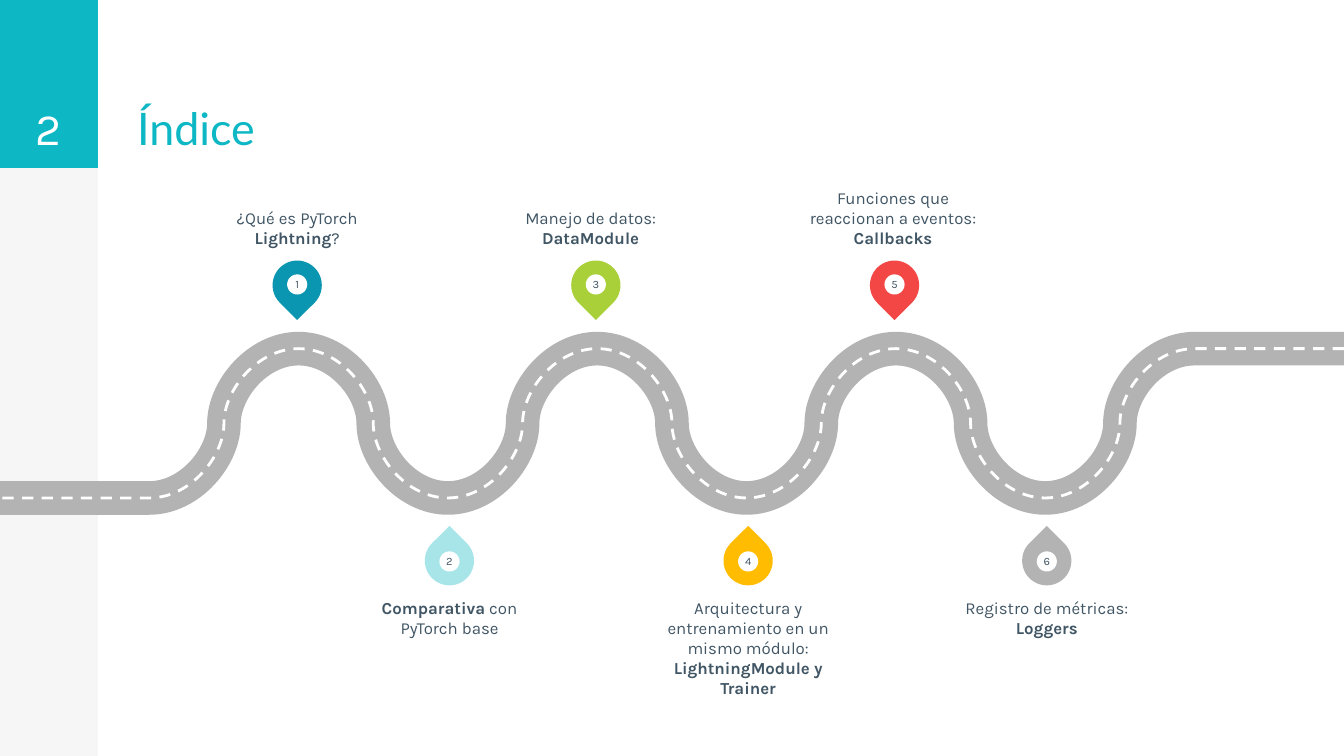
from pptx import Presentation
from pptx.dml.color import RGBColor
from pptx.enum.dml import MSO_LINE
from pptx.enum.shapes import MSO_SHAPE
from pptx.enum.text import MSO_ANCHOR, PP_ALIGN
from pptx.oxml.ns import qn
from pptx.util import Inches, Pt

COLS, ROWS = 18, 10.125
UNIT = Inches(10) / COLS  # square grid cell, also the radius of the road's bends
CURVE = 0.45  # share of the radius left beyond a quarter circle's handle

WHITE = RGBColor(0xFF, 0xFF, 0xFF)
PALE = RGBColor(0xF6, 0xF6, 0xF6)
TEAL = RGBColor(0x0D, 0xB7, 0xC4)
SLATE = RGBColor(0x41, 0x56, 0x65)
GRAY = RGBColor(0xB3, 0xB3, 0xB3)
BLUE = RGBColor(0x0A, 0x95, 0xB0)
AQUA = RGBColor(0xA7, 0xE5, 0xE9)
GREEN = RGBColor(0xA9, 0xD0, 0x39)
AMBER = RGBColor(0xFF, 0xBC, 0x00)
RED = RGBColor(0xF2, 0x47, 0x45)

# Pin colour, label (** marks bold, each line is a paragraph), label shift in columns
STOPS = [
    (BLUE, "¿Qué es PyTorch **Lightning**?", 0),
    (AQUA, "**Comparativa **con PyTorch base", 0),
    (GREEN, "Manejo de datos: **DataModule**", -0.07),
    (AMBER, "Arquitectura y entrenamiento en un mismo módulo:\n"
            "**LightningModule y Trainer**", 0),
    (RED, "Funciones que reaccionan a eventos: **Callbacks**", -0.02),
    (GRAY, "Registro de métricas:\n**Loggers**", 0),
]


def scale(*cells):
    return [round(cell * UNIT) for cell in cells]


def square(x, y, side):
    """Box of a square centred on x, y."""
    return x - side / 2, y - side / 2, side, side


def add_solid(shapes, kind, box, color):
    shape = shapes.add_shape(kind, *scale(*box))
    shape.shadow.inherit = False
    shape.fill.solid()
    shape.fill.fore_color.rgb = color
    shape.line.fill.background()
    return shape


def write(shape, text, size, color, font="Karla", align=PP_ALIGN.CENTER,
          anchor=MSO_ANCHOR.MIDDLE, inset=0):
    frame = shape.text_frame
    frame.word_wrap = True
    frame.vertical_anchor = anchor
    frame.margin_left = frame.margin_right = Inches(inset)
    frame.margin_top = frame.margin_bottom = Inches(inset)
    for i, line in enumerate(text.split("\n")):
        para = frame.add_paragraph() if i else frame.paragraphs[0]
        para.alignment = align
        para.font.name, para.font.size = font, Pt(size)
        para.font.color.rgb = color
        for j, part in enumerate(line.split("**")):
            if part:
                run = para.add_run()
                run.text = part
                if j % 2:
                    run.font.bold = True


def add_header(shapes, box):
    """Side bar, page number and title; the box is the page number's block."""
    x, y, w, h = box
    add_solid(shapes, MSO_SHAPE.RECTANGLE, (x, y, w, ROWS), PALE)
    add_solid(shapes, MSO_SHAPE.RECTANGLE, box, TEAL)
    title = shapes.add_textbox(*scale(x + w + 0.35, y, 7, h))
    write(title, "Índice", 24, TEAL, "Lato", PP_ALIGN.LEFT, MSO_ANCHOR.BOTTOM, 0.1)
    number = shapes.add_textbox(*scale(*box))
    write(number, "2", 24, WHITE, anchor=MSO_ANCHOR.BOTTOM, inset=0.1)


def bend(lines):
    """Turn each three line segments into one cubic curve through their points."""
    for first, second, third in zip(*[iter(lines)] * 3):
        curve = first.getparent().makeelement(qn("a:cubicBezTo"), {})
        first.addprevious(curve)
        for line in (first, second, third):
            curve.append(line[0])
            line.getparent().remove(line)


def add_road(shapes, box):
    """Quarter circles, from right to left, between the box's top and bottom."""
    x, y, w, h = box
    r, mid = h / 2, y + h / 2
    points = [(x + w, y), (x + w - 2 * r, y)]
    side = -r
    for turn in range(7):
        left = x + w - (2 * turn + 3) * r
        points += [(left + CURVE * r, mid + side), (left, mid + CURVE * side),
                   (left, mid), (left, mid - CURVE * side),
                   (left - CURVE * r, mid - side), (left - r, mid - side)]
        side = -side
    points.append((x, y + h))
    points = [scale(*point) for point in points]
    for color, width, dash in ((GRAY, 18, None), (WHITE, 1.5, MSO_LINE.DASH)):
        pen = shapes.build_freeform(*points[0])
        pen.add_line_segments(points[1:], close=False)
        road = pen.convert_to_shape()
        bend(list(road.element.iter(qn("a:lnTo")))[1:-1])
        road.shadow.inherit = False
        road.fill.background()
        road.line.color.rgb = color
        road.line.width = Pt(width)
        road.line.dash_style = dash


def add_stop(shapes, box, number, color, text, shift, above):
    """Numbered pin and label; the box spans both, with the pin nearest the road."""
    x, y, w, h = box
    mid = x + w / 2
    pin_y = y + h - 0.51 if above else y + 0.51
    group = shapes.add_group_shape().shapes
    pin = add_solid(group, MSO_SHAPE.TEAR, square(mid, pin_y, 0.66), color)
    pin.rotation = 135 if above else 315
    dot_y = pin_y - 0.01 if above else pin_y + 0.01
    dot = add_solid(group, MSO_SHAPE.OVAL, square(mid, dot_y, 0.27), WHITE)
    write(dot, str(number), 6, SLATE)
    top, tall = (y, 1.04) if above else (y + 1, h - 1)
    label = shapes.add_textbox(*scale(x + shift, top, w, tall))
    write(label, text, 9, SLATE, anchor=MSO_ANCHOR.BOTTOM if above else MSO_ANCHOR.TOP)


def main():
    deck = Presentation()
    deck.slide_width, deck.slide_height = scale(COLS, ROWS)
    shapes = deck.slides.add_slide(deck.slide_layouts[6]).shapes
    add_header(shapes, (0, 0, 1.31, 2.25))
    add_road(shapes, (0, 4.67, COLS, 2))
    wide = 2.54
    for i, (color, text, shift) in enumerate(STOPS):
        above = i % 2 == 0
        mid = 4 + 2 * i + (-0.02 if above else 0.02)
        top, tall = (2.28, 2.05) if above else (7, 2.38)
        add_stop(shapes, (mid - wide / 2, top, wide, tall),
                 i + 1, color, text, shift, above)
    deck.save("out.pptx")


if __name__ == "__main__":
    main()
